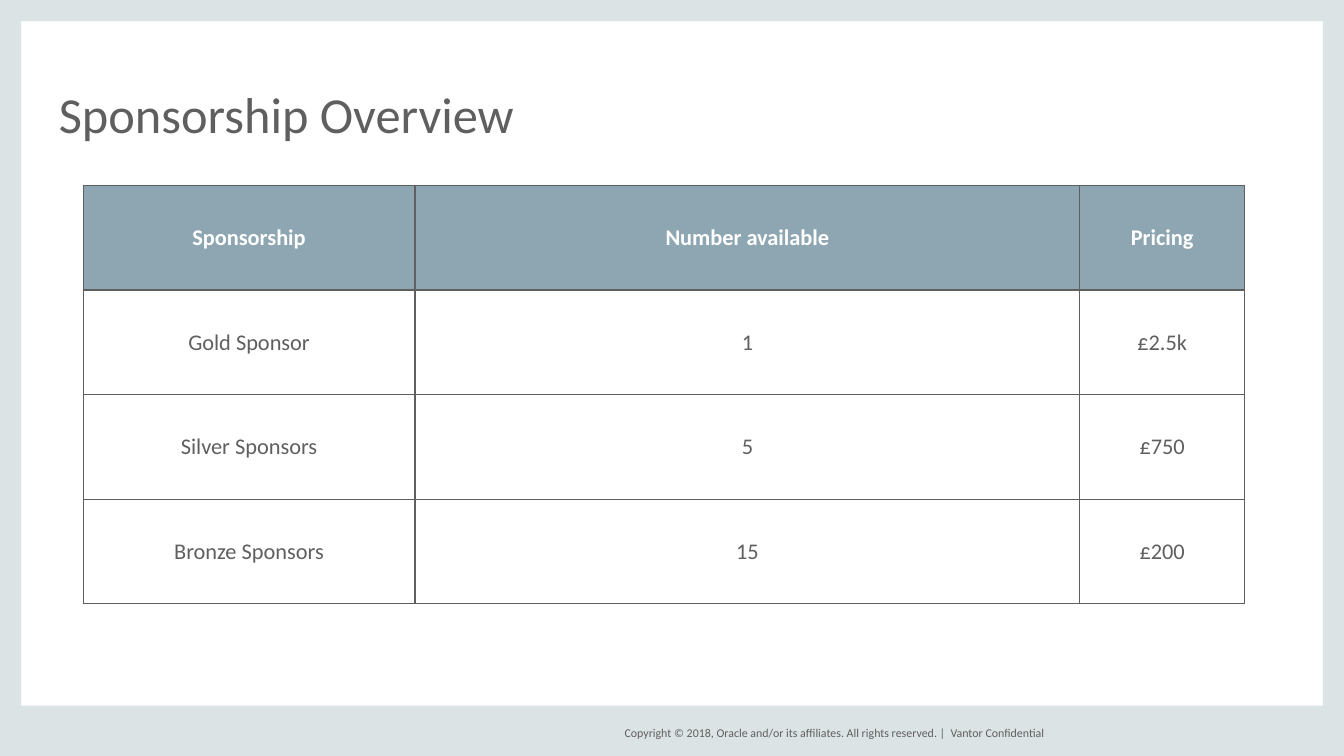
from lxml import etree
from pptx import Presentation
from pptx import util as u
from pptx.dml.color import RGBColor
from pptx.enum import shapes, text
from pptx.oxml import ns

GREY = RGBColor(0x5F, 0x5F, 0x5F)
WHITE = RGBColor(0xFF, 0xFF, 0xFF)
FRAME = RGBColor(0xDC, 0xE3, 0xE4)
HEADER = RGBColor(0x8D, 0xA6, 0xB1)

WIDTH, HEIGHT = 960, 540
EDGE, FOOTER = 15.12, 36


def write(frame, words, size=16, color=GREY, bold=False,
          align=text.PP_ALIGN.LEFT, anchor=text.MSO_ANCHOR.MIDDLE, spacing=None):
    frame.word_wrap = True
    frame.vertical_anchor = anchor
    line = frame.paragraphs[0]
    line.alignment = align
    if spacing:
        line.line_spacing = spacing
    run = line.add_run()
    run.text = words
    run.font.name = "Calibri"
    run.font.size = u.Pt(size)
    run.font.bold = bold
    run.font.color.rgb = color


class SlideBuilder:
    """Adds styled elements to one slide; all lengths are in points."""

    def __init__(self, slide):
        self.slide = slide
        self.border_color = GREY
        self.border_width = 1

    def strip(self, *box):
        strip = self.slide.shapes.add_shape(
            shapes.MSO_SHAPE.RECTANGLE, *map(u.Pt, box))
        strip.shadow.inherit = False
        strip.fill.solid()
        strip.fill.fore_color.rgb = FRAME
        strip.line.fill.background()

    def label(self, box, words, **style):
        frame = self.slide.shapes.add_textbox(*map(u.Pt, box)).text_frame
        frame.margin_left = frame.margin_right = 0
        frame.margin_top = frame.margin_bottom = 0
        write(frame, words, **style)

    def outline(self, cell):
        properties = cell._tc.get_or_add_tcPr()
        for position, side in enumerate(("lnL", "lnR", "lnT", "lnB")):
            border = etree.Element(
                ns.qn(f"a:{side}"), w=str(u.Pt(self.border_width)))
            fill = etree.SubElement(border, ns.qn("a:solidFill"))
            etree.SubElement(fill, ns.qn("a:srgbClr"), val=str(self.border_color))
            properties.insert(position, border)

    def table(self, left, top, widths, row_height, rows):
        table = self.slide.shapes.add_table(
            len(rows), len(widths), u.Pt(left), u.Pt(top),
            u.Pt(sum(widths)), u.Pt(row_height * len(rows))).table
        table.horz_banding = False
        for column, width in zip(table.columns, widths):
            column.width = u.Pt(width)
        for r, row in enumerate(rows):
            table.rows[r].height = u.Pt(row_height)
            is_header = r == 0
            for c, words in enumerate(row):
                cell = table.cell(r, c)
                cell.fill.solid()
                cell.fill.fore_color.rgb = HEADER if is_header else WHITE
                cell.vertical_anchor = text.MSO_ANCHOR.MIDDLE
                write(cell.text_frame, words, bold=is_header,
                      color=WHITE if is_header else GREY,
                      align=text.PP_ALIGN.CENTER)
                self.outline(cell)


def main():
    deck = Presentation()
    deck.slide_width, deck.slide_height = u.Pt(WIDTH), u.Pt(HEIGHT)
    builder = SlideBuilder(deck.slides.add_slide(deck.slide_layouts[6]))

    builder.strip(0, 0, EDGE, HEIGHT)
    builder.strip(WIDTH - EDGE, 0, EDGE, HEIGHT)
    builder.strip(0, HEIGHT - FOOTER, WIDTH, FOOTER)
    builder.strip(0, 0, WIDTH, EDGE)

    builder.label((423.4, 516.2, 252, 14.4),
                  "Copyright © 2018, Oracle and/or its affiliates. "
                  "All rights reserved. |",
                  size=8.5, align=text.PP_ALIGN.RIGHT)
    builder.label((679, 516.2, 216, 14.4), "Vantor Confidential", size=8.5)
    builder.label((42, 32.2, 876, 69.8), "Sponsorship Overview",
                  size=36, anchor=text.MSO_ANCHOR.BOTTOM, spacing=0.8)

    builder.table(59.4, 132.5, (237, 475, 117.5), 74.7, (
        ("Sponsorship", "Number available", "Pricing"),
        ("Gold Sponsor", "1", "£2.5k"),
        ("Silver Sponsors", "5", "£750"),
        ("Bronze Sponsors", "15", "£200"),
    ))
    deck.save("out.pptx")


if __name__ == "__main__":
    main()
